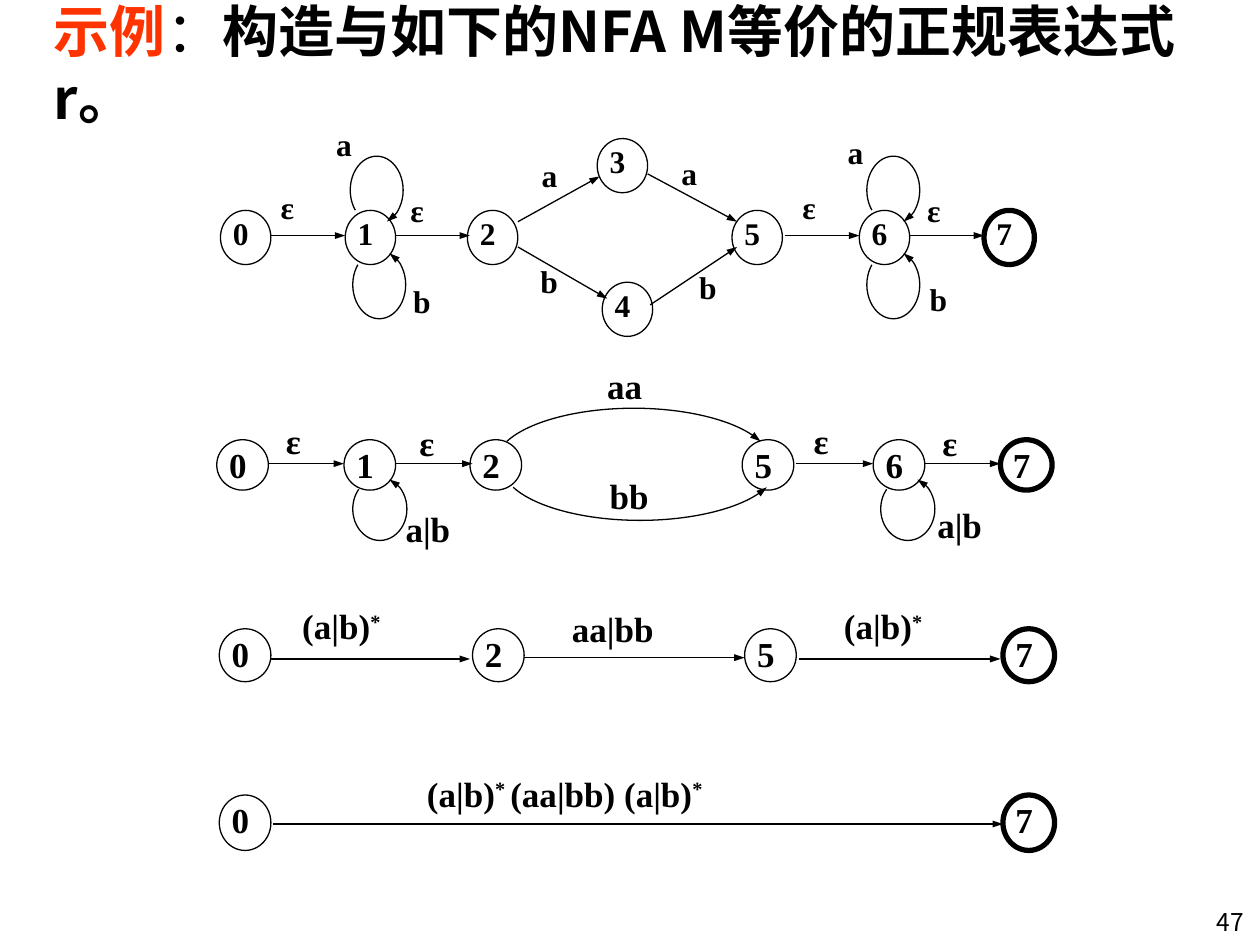
from lxml import etree
from pptx import Presentation, util as u
from pptx.dml.color import RGBColor
from pptx.enum import shapes, text
from pptx.oxml.ns import qn

Inches, Pt = u.Inches, u.Pt
BLACK, RED = "000000", "FF3300"
SERIF, SANS = "Times New Roman", "Noto Sans CJK SC"
LEFT, RIGHT = text.PP_ALIGN.LEFT, text.PP_ALIGN.RIGHT

deck = Presentation()
deck.slide_width, deck.slide_height = Inches(10), Inches(7.5)
page = deck.slides.add_slide(deck.slide_layouts[6])


def add_text(left, top, width, height, spans, size, font=SERIF, align=LEFT):
    """Add a text box; spans are (words, colour, bold, superscript)."""
    box = page.shapes.add_textbox(*map(Inches, (left, top, width, height)))
    box.text_frame.word_wrap = True
    para = box.text_frame.paragraphs[0]
    para.alignment = align
    for words, color, bold, raised in spans:
        span = para.add_run()
        span.text = words
        span.font.size, span.font.name, span.font.bold = Pt(size), font, bold
        span.font.color.rgb = RGBColor.from_string(color)
        properties = span.font._element
        etree.SubElement(properties, qn("a:ea")).set("typeface", font)
        if raised:
            properties.set("baseline", "30000")
    return box


def style_line(shape, width=0.75, arrow=True):
    shape.line.color.rgb = RGBColor.from_string(BLACK)
    shape.line.width = Pt(width)
    if arrow:
        tail = etree.SubElement(shape.line._get_or_add_ln(), qn("a:tailEnd"))
        for key, value in (("type", "triangle"), ("w", "sm"), ("len", "med")):
            tail.set(key, value)
    properties = shape._element.spPr
    if properties.find(qn("a:effectLst")) is None:
        etree.SubElement(properties, qn("a:effectLst"))


title = add_text(0.33, 0.17, 9.42, 0.67, [
    ("示例", RED, True, False),
    ("：", BLACK, False, False),
    ("构造与如下的NFA M等价的正规表达式r。", BLACK, True, False)], 32, SANS)
title.text_frame.vertical_anchor = text.MSO_ANCHOR.MIDDLE

# Each automaton: state width, height, text size, states (name, left, top)
automata = [
    (0.4, 0.43, 18, [("0", 1.75, 1.67), ("1", 2.74, 1.67), ("3", 4.74, 1.1),
                     ("4", 4.78, 2.24), ("2", 3.71, 1.67), ("5", 5.81, 1.67),
                     ("6", 6.82, 1.67), ("7", 7.81, 1.67)]),
    (0.41, 0.4, 20, [("0", 1.72, 3.49), ("1", 2.73, 3.49), ("2", 3.73, 3.49),
                     ("5", 5.89, 3.49), ("6", 6.93, 3.49), ("7", 7.94, 3.49)]),
    (0.41, 0.42, 20, [("0", 1.74, 4.99), ("2", 3.75, 4.99), ("5", 5.91, 4.99),
                      ("7", 7.96, 4.99)]),
    (0.41, 0.44, 20, [("0", 1.74, 6.31), ("7", 7.96, 6.31)]),
]
for width, height, size, states in automata:
    for name, left, top in states:
        state = page.shapes.add_shape(
            shapes.MSO_SHAPE.OVAL, *map(Inches, (left, top, width, height)))
        state.fill.background()
        style_line(state, 3 if name == "7" else 0.75, arrow=False)
        add_text(left, top - 0.02, width + 0.04, height,
                 [(name, BLACK, True, False)], size)

# Straight transitions: x1, y1, x2, y2
transitions = [
    (2.15, 1.87, 2.74, 1.87), (3.14, 1.87, 3.73, 1.87),
    (6.23, 1.87, 6.82, 1.87), (7.22, 1.87, 7.81, 1.87),
    (4.11, 1.76, 4.76, 1.4), (4.11, 1.96, 4.82, 2.37),
    (5.14, 1.38, 5.85, 1.76), (5.16, 2.42, 5.85, 1.96),
    (2.13, 3.68, 2.73, 3.68), (3.14, 3.68, 3.75, 3.68),
    (6.32, 3.68, 6.93, 3.68), (7.34, 3.68, 7.94, 3.68),
    (2.15, 5.23, 3.73, 5.23), (4.16, 5.22, 5.91, 5.22),
    (6.34, 5.23, 7.94, 5.23), (2.17, 6.54, 7.96, 6.54),
]
for ends in transitions:
    style_line(page.shapes.add_connector(
        shapes.MSO_CONNECTOR.STRAIGHT, *map(Inches, ends)))

# Curved transitions: ellipse frame, start and end angle, opens upwards
LOOP, BOW = (137, 72), (190, 350)
curves = [
    (2.78, 1.24, 0.42, 0.54, LOOP, False), (6.88, 1.24, 0.42, 0.54, LOOP, False),
    (2.8, 1.99, 0.42, 0.54, LOOP, True), (6.88, 1.99, 0.42, 0.54, LOOP, True),
    (2.8, 3.79, 0.43, 0.5, LOOP, True), (6.99, 3.79, 0.43, 0.5, LOOP, True),
    (3.93, 3.24, 2.2, 0.88, BOW, False), (3.98, 3.25, 2.2, 0.88, BOW, True),
]
for *frame, angles, flipped in curves:
    curve = page.shapes.add_shape(shapes.MSO_SHAPE.ARC, *map(Inches, frame))
    for index, angle in enumerate(angles):
        # Angles are stored in 1/60000 degree, adjustments in 1/100000
        curve.adjustments[index] = angle * 0.6
    if flipped:
        curve._element.spPr.xfrm.set("flipV", "1")
    curve.fill.background()
    style_line(curve)

# Transition labels: text, left, top, width, height, size; * is raised
labels = [
    ("a", 2.57, 0.94), ("b", 3.18, 2.19), ("a", 4.2, 1.19), ("a", 5.31, 1.17),
    ("b", 4.19, 2.03), ("b", 5.45, 2.08), ("a", 6.63, 1.01), ("b", 7.28, 2.17),
    ("ε", 2.13, 1.44), ("ε", 3.16, 1.47), ("ε", 6.27, 1.44), ("ε", 7.26, 1.47),
]
labels = [(*label, 0.53, 0.48, 18) for label in labels] + [
    (*label, 0.72, 0.44, 20) for label in [
        ("a|b", 3.12, 3.98), ("a|b", 7.34, 3.95), ("ε", 2.17, 3.28),
        ("ε", 3.23, 3.3), ("ε", 6.36, 3.28), ("ε", 7.38, 3.3),
        ("aa", 4.72, 2.84), ("bb", 4.74, 3.72)]
] + [
    ("(a|b)*", 2.3, 4.75, 1.08, 0.47, 20),
    ("aa|bb", 4.44, 4.77, 1.08, 0.47, 20),
    ("(a|b)*", 6.6, 4.75, 1.06, 0.47, 20),
    ("(a|b)* (aa|bb) (a|b)*", 3.29, 6.08, 3.24, 0.48, 20),
]
for words, left, top, width, height, size in labels:
    spans = []
    for index, piece in enumerate(words.split("*")):
        if index:
            star = "* " if piece.startswith(" ") else "*"
            spans.append((star, BLACK, True, True))
        if piece:
            spans.append((piece.strip(), BLACK, True, False))
    add_text(left, top, width, height, spans, size)

add_text(9.18, 7.15, 0.79, 0.3, [("47", BLACK, False, False)], 14, SANS, RIGHT)

deck.save("out.pptx")
